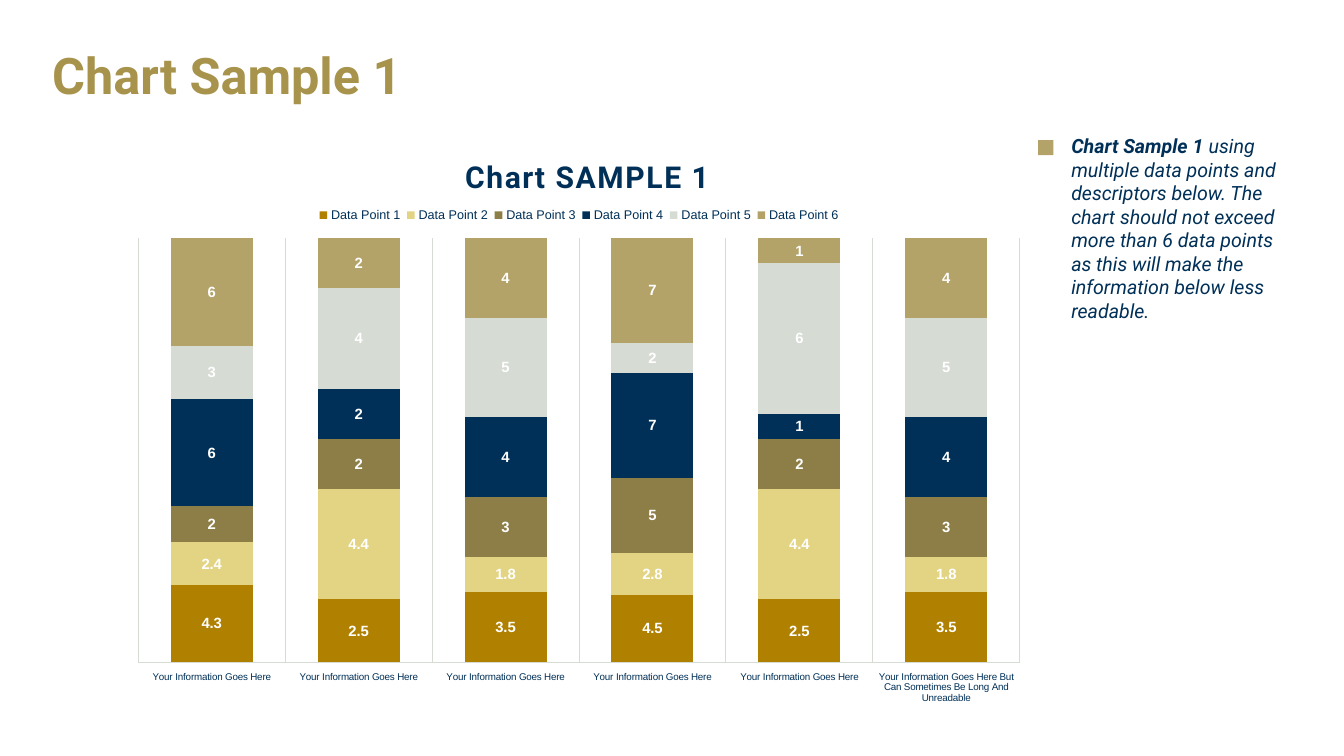
from lxml import etree
from pptx import Presentation
from pptx.chart.data import CategoryChartData
from pptx.dml.color import RGBColor
from pptx.enum.chart import XL_CHART_TYPE, XL_LEGEND_POSITION, XL_TICK_LABEL_POSITION, XL_TICK_MARK
from pptx.enum.shapes import MSO_SHAPE
from pptx.enum.text import MSO_ANCHOR
from pptx.oxml.ns import qn
from pptx.util import Pt

STACKED_100 = XL_CHART_TYPE.COLUMN_STACKED_100
LEGEND_TOP = XL_LEGEND_POSITION.TOP
LABELS_LOW = XL_TICK_LABEL_POSITION.LOW
NO_TICK = XL_TICK_MARK.NONE
RECTANGLE = MSO_SHAPE.RECTANGLE
MIDDLE = MSO_ANCHOR.MIDDLE

NAVY = RGBColor(0x00, 0x30, 0x57)
GOLD = RGBColor(0xA7, 0x93, 0x4B)
TAN = RGBColor(0xB3, 0xA3, 0x69)
SILVER = RGBColor(0xD6, 0xDB, 0xD4)
OCHRE = RGBColor(0xB0, 0x80, 0x00)
SAND = RGBColor(0xE3, 0xD4, 0x84)
OLIVE = RGBColor(0x8D, 0x7E, 0x48)
WHITE = RGBColor(0xFF, 0xFF, 0xFF)

CATEGORIES = ["Your Information Goes Here"] * 5 + [
    "Your Information Goes Here But Can Sometimes Be Long And Unreadable"
]
DATA_POINTS = [
    (OCHRE, (4.3, 2.5, 3.5, 4.5, 2.5, 3.5)),
    (SAND, (2.4, 4.4, 1.8, 2.8, 4.4, 1.8)),
    (OLIVE, (2, 2, 3, 5, 2, 3)),
    (NAVY, (6, 2, 4, 7, 1, 4)),
    (SILVER, (3, 4, 5, 2, 6, 5)),
    (TAN, (6, 2, 4, 7, 1, 4)),
]


def style(font, color, **values):
    font.color.rgb = color
    for key, value in values.items():
        setattr(font, key, value)


def place(part, index, **settings):
    for old in part.findall(qn("c:layout")):
        part.remove(old)
    layout = etree.Element(qn("c:layout"))
    manual = etree.SubElement(layout, qn("c:manualLayout"))
    for key, value in settings.items():
        etree.SubElement(manual, qn("c:" + key)).set("val", str(value))
    part.insert(index, layout)


prs = Presentation()
prs.slide_width, prs.slide_height = Pt(960), Pt(540)
slide = prs.slides.add_slide(prs.slide_layouts[6])

heading = slide.shapes.add_textbox(Pt(30.24), Pt(15.84), Pt(900), Pt(79.92)).text_frame
heading.word_wrap = True
heading.vertical_anchor = MIDDLE
heading_line = heading.paragraphs[0]
heading_line.line_spacing = 0.9
heading_run = heading_line.add_run()
heading_run.text = "Chart Sample 1"
style(heading_run.font, GOLD, name="Roboto", size=Pt(36), bold=True)

data = CategoryChartData()
data.categories = CATEGORIES
for number, (color, values) in enumerate(DATA_POINTS, 1):
    data.add_series(f"Data Point {number}", values)
chart = slide.shapes.add_chart(
    STACKED_100, Pt(85.68), Pt(91.44), Pt(655.92), Pt(414.72), data
).chart
style(chart.font, NAVY, name="Arial", size=Pt(10))

chart.has_title = True
chart_title = chart.chart_title.text_frame.paragraphs[0].add_run()
chart_title.text = "Chart SAMPLE 1"
style(chart_title.font, NAVY, name="Roboto", size=Pt(21.5), bold=True)
chart_title.font._element.set("spc", "100")

chart.has_legend = True
legend = chart.legend
legend.position = LEGEND_TOP
legend.include_in_layout = False
style(legend.font, NAVY, name="Arial", size=Pt(9))

chart.value_axis.visible = False
chart.value_axis.has_major_gridlines = False
category_axis = chart.category_axis
category_axis.has_major_gridlines = True
category_axis.major_tick_mark = NO_TICK
category_axis.minor_tick_mark = NO_TICK
category_axis.tick_label_position = LABELS_LOW
style(category_axis.tick_labels.font, NAVY, name="Arial", size=Pt(7))
for line in (category_axis.format.line, category_axis.major_gridlines.format.line):
    line.color.rgb = SILVER
    line.width = Pt(0.75)

plot = chart.plots[0]
plot.gap_width, plot.overlap = 79, 100
plot.vary_by_categories = False
for series, (color, values) in zip(plot.series, DATA_POINTS):
    series.format.fill.solid()
    series.format.fill.fore_color.rgb = color
    labels = series.data_labels
    labels.show_value = True
    style(labels.font, WHITE, name="Arial", size=Pt(10.6), bold=True)

chart_root = chart.element.find(qn("c:chart"))
place(chart_root.find(qn("c:title")), 1, xMode="edge", yMode="edge", x=0.37, y=0.04)
place(chart_root.find(qn("c:legend")), 1, xMode="edge", yMode="edge",
      x=0.21, y=0.13, w=0.58, h=0.04)
place(chart_root.find(qn("c:plotArea")), 0, layoutTarget="inner", xMode="edge",
      yMode="edge", x=0.02, y=0.19, w=0.96, h=0.73)

note = slide.shapes.add_textbox(Pt(758.16), Pt(92.16), Pt(167.76), Pt(143.28)).text_frame
note.word_wrap = True
for text, bold in [
    ("Chart Sample 1 ", True),
    ("using multiple data points and descriptors below. The chart should not exceed "
     "more than 6 data points as this will make the information below less readable.", False),
]:
    note_run = note.paragraphs[0].add_run()
    note_run.text = text
    style(note_run.font, NAVY, name="Roboto", size=Pt(14), bold=bold, italic=True)

marker = slide.shapes.add_shape(RECTANGLE, Pt(741.6), Pt(100.08), Pt(10.8), Pt(10.8))
marker.shadow.inherit = False
marker.fill.solid()
marker.fill.fore_color.rgb = TAN
marker.line.fill.background()

prs.save("out.pptx")
